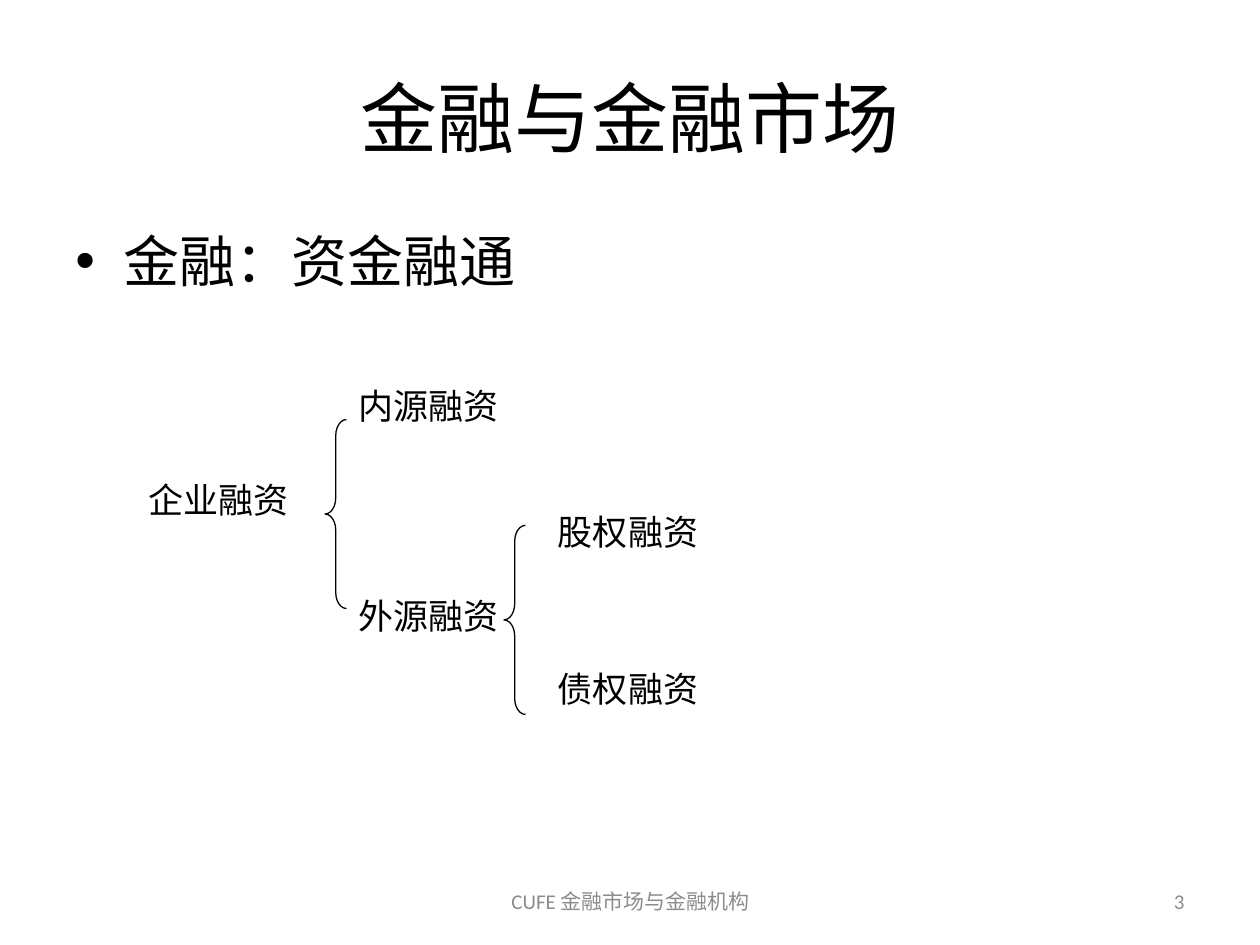
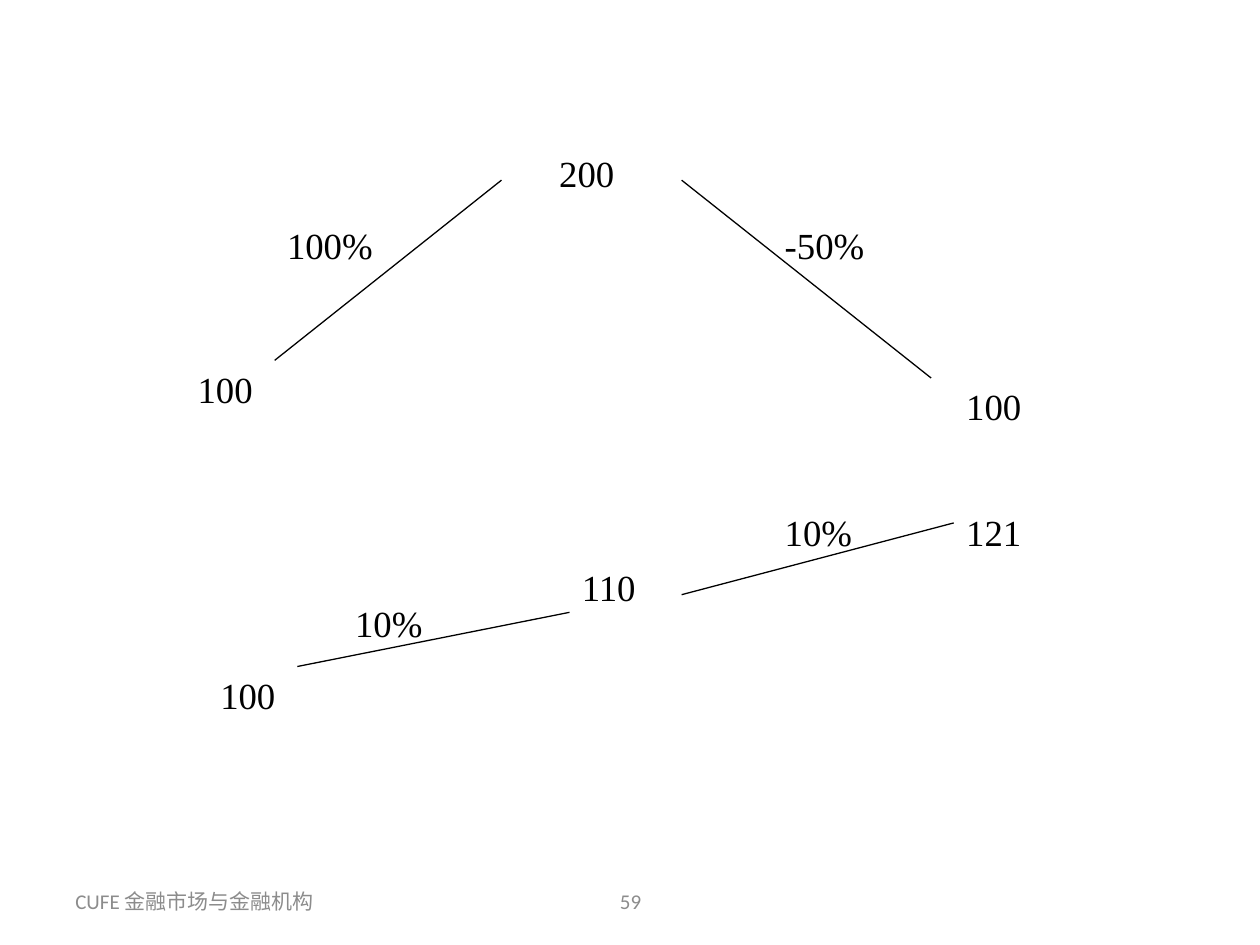
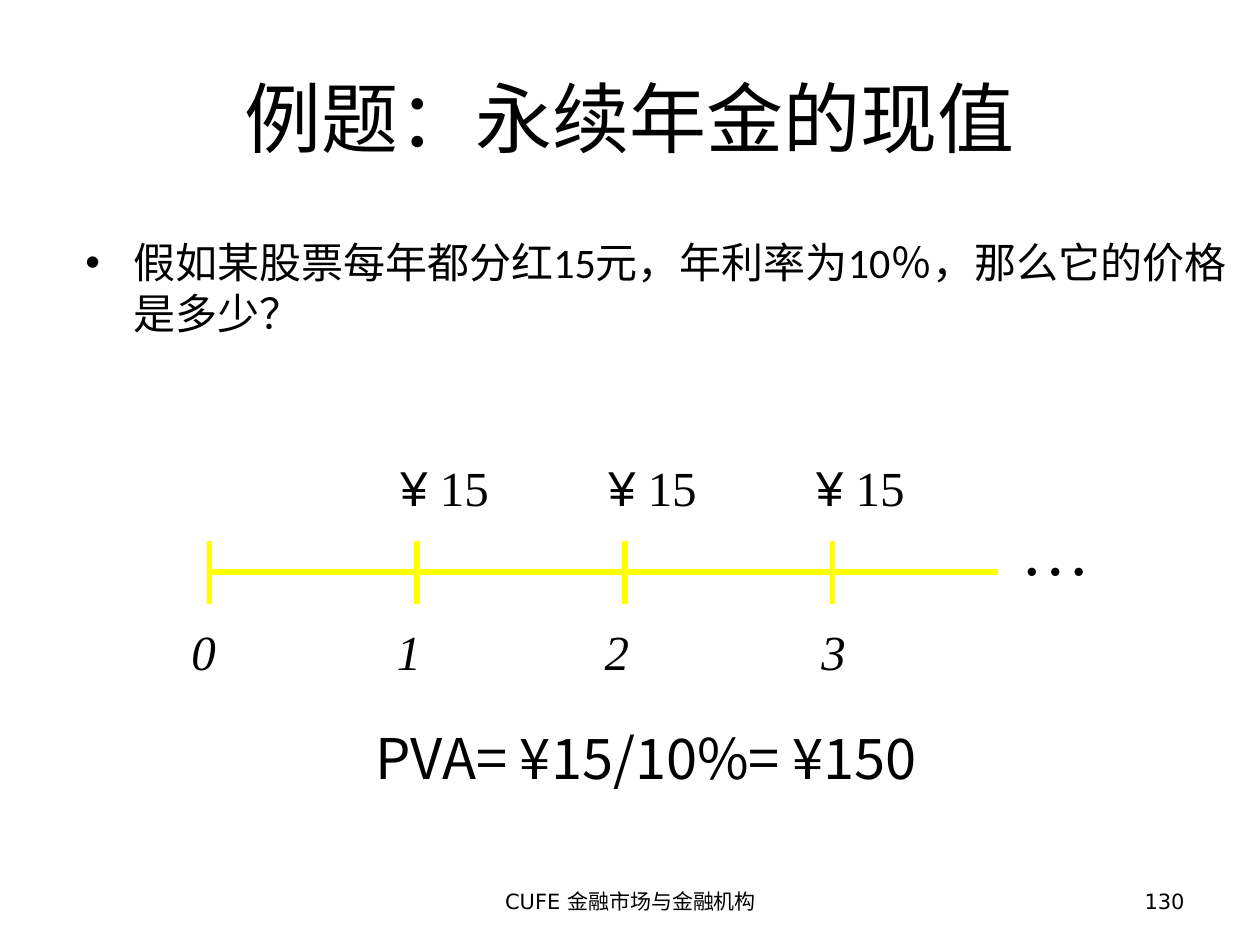
"""Build three slides on finance, returns and perpetuities."""
from dataclasses import dataclass

import pptx
import pptx.dml.color
import pptx.enum.lang
import pptx.enum.shapes
import pptx.enum.text
import pptx.oxml.ns
import pptx.oxml.xmlchemy
import pptx.slide
import pptx.util
from lxml import etree

Inches = pptx.util.Inches
Pt = pptx.util.Pt
Align = pptx.enum.text.PP_ALIGN
Anchor = pptx.enum.text.MSO_ANCHOR
Color = pptx.dml.color.RGBColor
Slide = pptx.slide.Slide

BLACK = Color(0x00, 0x00, 0x00)
GRAY = Color(0x8C, 0x8C, 0x8C)
YELLOW = Color(0xFF, 0xFF, 0x00)
SANS = "Calibri"
SERIF = "Times New Roman"
CHINESE = pptx.enum.lang.MSO_LANGUAGE_ID.SIMPLIFIED_CHINESE
FOOTER = "CUFE 金融市场与金融机构"


@dataclass(frozen=True)
class Box:
    """Place of an element in inches."""
    left: float
    top: float
    width: float
    height: float


@dataclass(frozen=True)
class Label:
    """Short text and its top left corner."""
    text: str
    left: float
    top: float


@dataclass(frozen=True)
class Line:
    """Straight line between two points."""
    x1: float
    y1: float
    x2: float
    y2: float


@dataclass(frozen=True)
class Tick:
    """Year on the time line and the left edge of its digit."""
    year: int
    left: float


TITLE = Box(0.5, 0.3, 9, 1.25)
LEFT = Box(0.5, 6.95, 2.33, 0.4)
MIDDLE = Box(3.42, 6.95, 3.17, 0.4)
RIGHT = Box(7.17, 6.95, 2.33, 0.4)

SOURCES = (
    Label("企业融资", 1.08, 3.75),
    Label("内源融资", 2.75, 3),
    Label("外源融资", 2.75, 4.67),
    Label("股权融资", 4.33, 4),
    Label("债权融资", 4.33, 5.25),
)
BRACES = (Box(2.58, 3.33, 0.17, 1.5), Box(4, 4.17, 0.17, 1.5))

PATHS = (
    Line(2.18, 2.86, 3.98, 1.43),
    Line(5.41, 1.43, 7.39, 3),
    Line(2.36, 5.29, 4.52, 4.86),
    Line(5.41, 4.72, 7.57, 4.15),
)
VALUES = (
    Label("200", 4.34, 1.15),
    Label("100", 1.47, 2.86),
    Label("100", 7.57, 3),
    Label("100%", 2.18, 1.72),
    Label("-50%", 6.13, 1.72),
    Label("110", 4.52, 4.43),
    Label("100", 1.65, 5.29),
    Label("121", 7.57, 4),
    Label("10%", 2.72, 4.72),
    Label("10%", 6.13, 4),
)

START, STEP, AXIS, HALF = 1.66, 1.65, 4.54, 0.25
TICKS = (Tick(0, 1.42), Tick(1, 3.05), Tick(2, 4.7), Tick(3, 6.42))


def write(slide: Slide, text: str, box: Box, *, size: float, font: str = SANS,
          color: Color = BLACK, align: Align = Align.LEFT,
          anchor: Anchor = Anchor.TOP, italic: bool = False, wrap: bool = True,
          bullet: bool = False, prefix: str = "", space: float | None = None) -> None:
    """Add a text box, with an optional bullet and an Arial prefix."""
    shape = slide.shapes.add_textbox(Inches(box.left), Inches(box.top),
                                     Inches(box.width), Inches(box.height))
    frame = shape.text_frame
    frame.word_wrap = wrap
    frame.vertical_anchor = anchor
    para = frame.paragraphs[0]
    para.alignment = align
    para.line_spacing = space
    if bullet:
        props = para._p.get_or_add_pPr()
        props.set("marL", str(Inches(0.38)))
        props.set("indent", str(-Inches(0.38)))
        face = etree.SubElement(props, pptx.oxml.ns.qn("a:buFont"))
        face.set("typeface", "Arial")
        etree.SubElement(props, pptx.oxml.ns.qn("a:buChar")).set("char", "•")
    for part, name in ((prefix, "Arial"), (text, font)):
        if part:
            run = para.add_run()
            run.text = part
            run.font.name = name
            run.font.size = Pt(size)
            run.font.italic = italic
            run.font.color.rgb = color
            run.font.language_id = CHINESE


def draw(slide: Slide, line: Line, color: Color = BLACK, width: float = 0.75) -> None:
    """Add a straight line without a shadow."""
    link = slide.shapes.add_connector(
        pptx.enum.shapes.MSO_CONNECTOR.STRAIGHT,
        Inches(line.x1), Inches(line.y1), Inches(line.x2), Inches(line.y2))
    link.line.color.rgb = color
    link.line.width = Pt(width)
    etree.SubElement(link._element.spPr, pptx.oxml.ns.qn("a:effectLst"))


def brace(slide: Slide, box: Box) -> None:
    """Add a thin left brace."""
    shape = slide.shapes.add_shape(
        pptx.enum.shapes.MSO_SHAPE.LEFT_BRACE,
        Inches(box.left), Inches(box.top), Inches(box.width), Inches(box.height))
    shape.adjustments[0] = 0.75
    shape.shadow.inherit = False
    shape.fill.background()
    shape.line.color.rgb = BLACK
    shape.line.width = Pt(0.75)


def title(slide: Slide, text: str) -> None:
    """Add the slide title."""
    write(slide, text, TITLE, size=44, align=Align.CENTER, anchor=Anchor.MIDDLE)


def footer(slide: Slide, page: int, *, left: bool = False, font: str = SANS,
           color: Color = GRAY) -> None:
    """Add the course name and page number, either centred or moved left."""
    if left:
        parts = ((FOOTER, LEFT, Align.LEFT), (str(page), MIDDLE, Align.CENTER))
    else:
        parts = ((FOOTER, MIDDLE, Align.CENTER), (str(page), RIGHT, Align.RIGHT))
    for text, box, align in parts:
        write(slide, text, box, size=12, font=font, color=color, align=align,
              anchor=Anchor.MIDDLE)


def funding(slide: Slide) -> None:
    """Draw the tree of funding sources."""
    footer(slide, 3)
    title(slide, "金融与金融市场")
    write(slide, "金融：资金融通", Box(0.5, 1.75, 9, 4.95), size=32, bullet=True)
    for item in SOURCES:
        write(slide, item.text, Box(item.left, item.top, 1.33, 0.43), size=20)
    for box in BRACES:
        brace(slide, box)


def returns(slide: Slide) -> None:
    """Draw the two paths of returns."""
    footer(slide, 59, left=True)
    for line in PATHS:
        draw(slide, line)
    for item in VALUES:
        write(slide, item.text, Box(item.left, item.top, 0.9, 0.43), size=21,
              font=SERIF, align=Align.JUSTIFY)


def annuity(slide: Slide) -> None:
    """Draw the time line of a perpetuity."""
    footer(slide, 130, font="DejaVu Sans", color=BLACK)
    title(slide, "例题：永续年金的现值")
    write(slide, "假如某股票每年都分红15元，年利率为10％，那么它的价格是多少？",
          Box(0.58, 1.83, 9.42, 2.11), size=24, bullet=True)
    draw(slide, Line(START, AXIS, 7.92, AXIS), YELLOW, 3)
    write(slide, "…", Box(8, 3.96, 0.67, 0.77), size=40, font=SERIF)
    for tick in TICKS:
        x = START + STEP * tick.year
        draw(slide, Line(x, AXIS - HALF, x, AXIS + HALF), YELLOW, 3)
        write(slide, str(tick.year), Box(tick.left, 4.88, 0.4, 0.57), size=28,
              font=SERIF, italic=True, wrap=False)
        if tick.year:
            write(slide, " 15", Box(x - 0.23, 3.58, 0.9, 0.57), size=28,
                  font=SERIF, prefix="¥", wrap=False)
    write(slide, "PVA= ¥15/10%= ¥150", Box(2.42, 5.75, 5.42, 0.58), size=32,
          font="Noto Sans CJK SC", align=Align.CENTER, space=0.9)


def main() -> None:
    """Build and save the deck."""
    deck = pptx.Presentation()
    deck.slide_width = Inches(10)
    deck.slide_height = Inches(7.5)
    for build in (funding, returns, annuity):
        build(deck.slides.add_slide(deck.slide_layouts[6]))
    deck.save("out.pptx")


if __name__ == "__main__":
    main()
